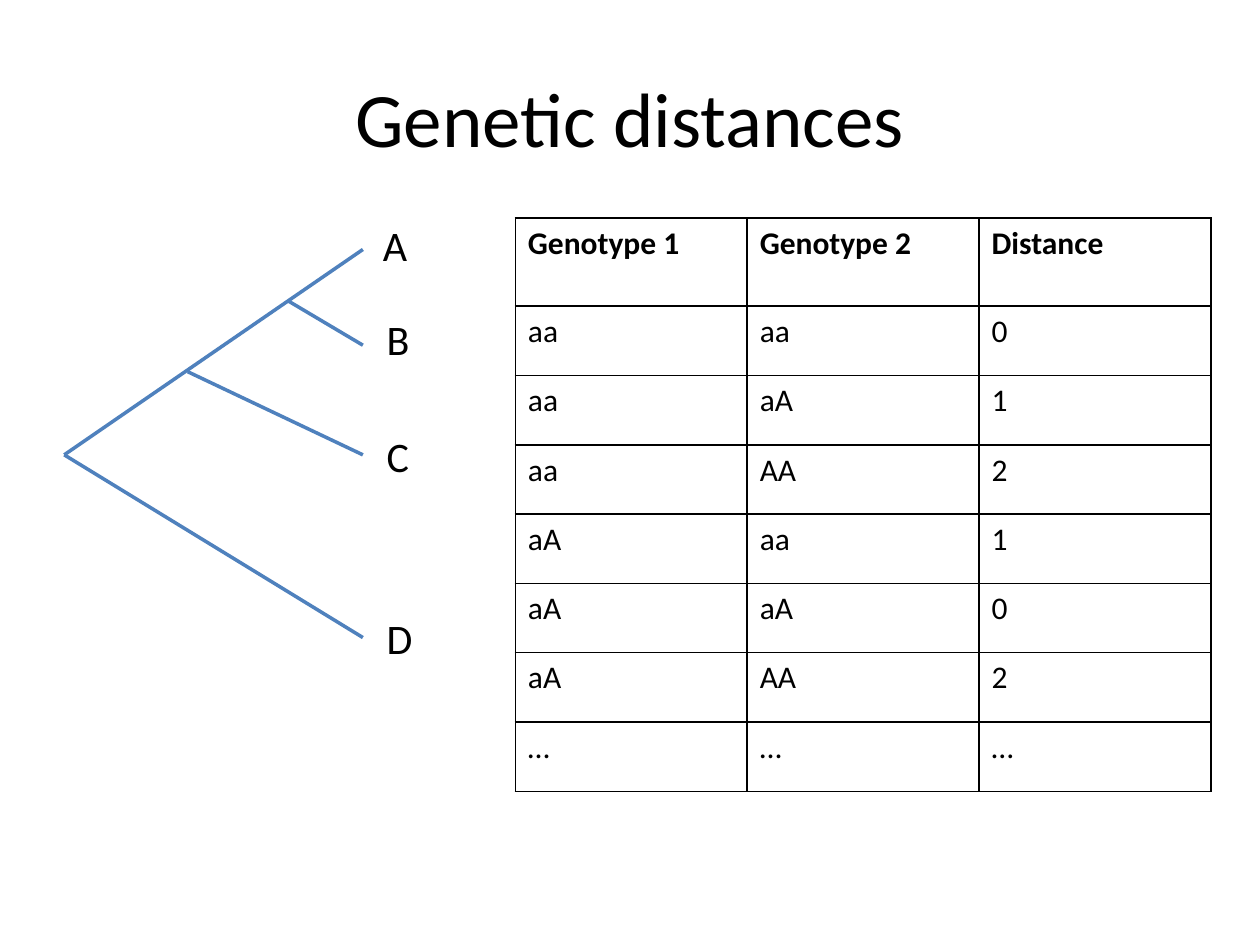
from lxml import etree
from pptx import Presentation
from pptx.dml.color import RGBColor
from pptx.enum.shapes import MSO_CONNECTOR
from pptx.enum.text import MSO_ANCHOR, PP_ALIGN
from pptx.oxml import parse_xml
from pptx.oxml.ns import qn
from pptx.util import Inches, Pt

STRAIGHT = MSO_CONNECTOR.STRAIGHT
MIDDLE = MSO_ANCHOR.MIDDLE
CENTER = PP_ALIGN.CENTER
BLACK = "000000"
BLUE = "4F81BD"
DRAWING_NS = "http://schemas.openxmlformats.org/drawingml/2006/main"


def rgb(value):
    return RGBColor.from_string(value)


def write(tf, text, size, bold=False):
    p = tf.paragraphs[0]
    p.text = text
    p.font.name = "Calibri"
    p.font.size = Pt(size)
    p.font.bold = bold
    p.font.color.rgb = rgb(BLACK)
    return p


prs = Presentation()
prs.slide_width = Inches(10)
prs.slide_height = Inches(7.5)
s = prs.slides.add_slide(prs.slide_layouts[6])

title = s.shapes.add_textbox(Inches(0.5), Inches(0.3), Inches(9), Inches(1.25))
title.text_frame.word_wrap = True
title.text_frame.vertical_anchor = MIDDLE
write(title.text_frame, "Genetic distances", 44).alignment = CENTER

tip_x = 2.88
root = (0.51, 3.61)
branches = [
    (root, 1.98),
    ((1.49, 2.95), 3.61),
    (root, 5.06),
    ((2.29, 2.39), 2.74),
]
for (x, y), tip_y in branches:
    branch = s.shapes.add_connector(
        STRAIGHT, Inches(x), Inches(y), Inches(tip_x), Inches(tip_y))
    branch.line.color.rgb = rgb(BLUE)
    branch.line.width = Pt(2)
    etree.SubElement(branch._element.spPr, qn("a:effectLst"))

tips = [("A", 2.94, 1.69), ("B", 2.97, 2.44), ("C", 2.97, 3.37), ("D", 2.97, 4.81)]
for name, x, y in tips:
    label = s.shapes.add_textbox(Inches(x), Inches(y), Inches(0.39), Inches(0.5))
    label.text_frame.word_wrap = False
    write(label.text_frame, name, 24)

rows = [
    ("Genotype 1", "Genotype 2", "Distance"),
    ("aa", "aa", "0"),
    ("aa", "aA", "1"),
    ("aa", "AA", "2"),
    ("aA", "aa", "1"),
    ("aA", "aA", "0"),
    ("aA", "AA", "2"),
    ("…", "…", "…"),
]
table = s.shapes.add_table(
    len(rows), 3, Inches(4.09), Inches(1.73), Inches(5.51), Inches(4.57)).table
for col in table.columns:
    col.width = Inches(1.84)
for i, values in enumerate(rows):
    table.rows[i].height = Inches(0.7 if i == 0 else 0.55)
    for j, value in enumerate(values):
        cell = table.cell(i, j)
        write(cell.text_frame, value, 18, bold=i == 0)
        tcPr = cell._tc.get_or_add_tcPr()
        for side in ("lnL", "lnR", "lnT", "lnB"):
            tcPr.append(parse_xml(
                f'<a:{side} xmlns:a="{DRAWING_NS}" w="{Pt(1)}"><a:solidFill>'
                f'<a:srgbClr val="{BLACK}"/></a:solidFill></a:{side}>'))
        cell.fill.background()

prs.save("out.pptx")
